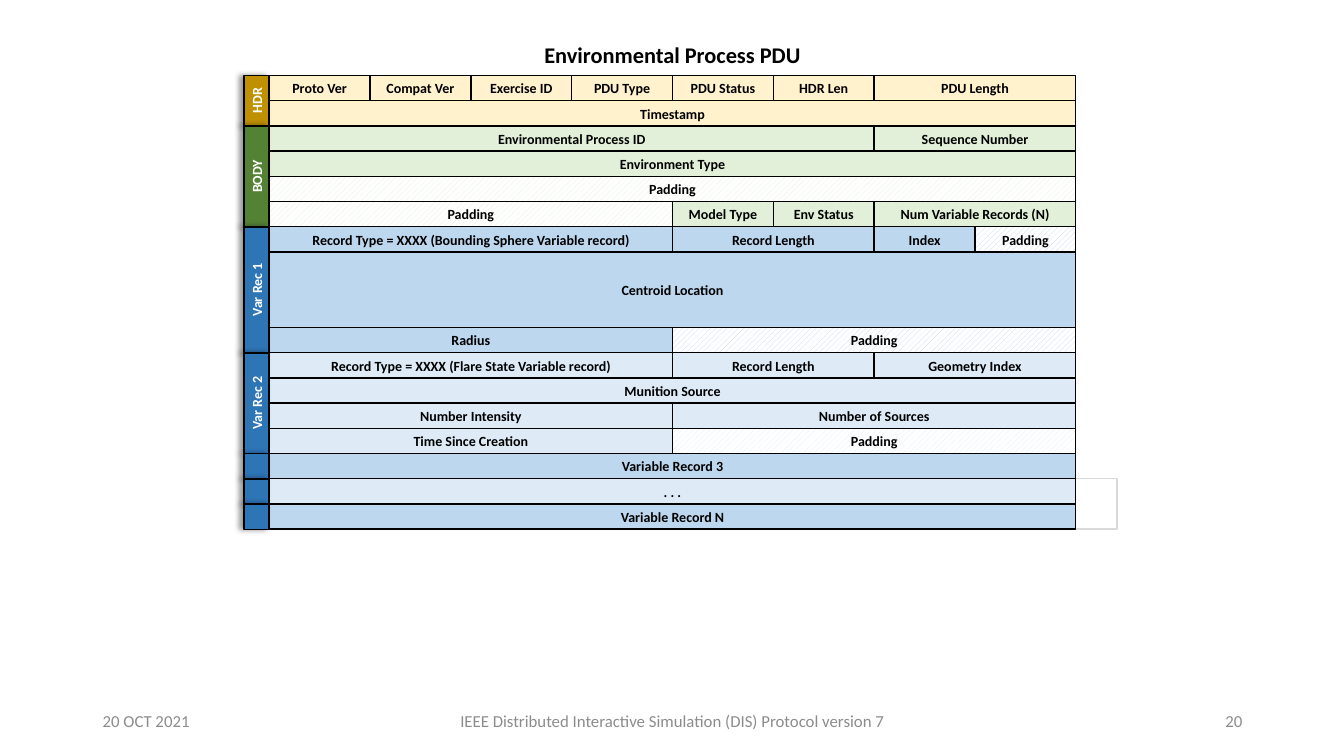
from lxml import etree
from pptx import Presentation
from pptx.dml.color import RGBColor
from pptx.enum.dml import MSO_PATTERN
from pptx.enum.shapes import MSO_SHAPE
from pptx.enum.text import MSO_ANCHOR, MSO_AUTO_SIZE, PP_ALIGN
from pptx.oxml.ns import qn
from pptx.util import Inches, Pt

RECT = MSO_SHAPE.RECTANGLE
DIAGONAL = MSO_PATTERN.WIDE_UPWARD_DIAGONAL
MIDDLE = MSO_ANCHOR.MIDDLE
NO_FIT = MSO_AUTO_SIZE.NONE
LEFT, CENTER, RIGHT = PP_ALIGN.LEFT, PP_ALIGN.CENTER, PP_ALIGN.RIGHT

COLORS = {
    "black": "000000", "white": "FFFFFF", "footer": "8C8C8C", "frame": "D9D9D9",
    "gold": "BF9000", "cream": "FFF2CC",
    "green": "548235", "mint": "E2F0D9",
    "blue": "2E75B6", "sky": "BDD7EE", "ice": "DEEBF7",
}
UNIT = 0.25
BAND_WIDTH = 0.25

SECTIONS = [
    ("HDR", "gold", "cream", [
        (1, [("Proto Ver", 1), ("Compat Ver", 1), ("Exercise ID", 1), ("PDU Type", 1),
             ("PDU Status", 1), ("HDR Len", 1), ("PDU Length", 2)]),
        (1, [("Timestamp", 8)]),
    ]),
    ("BODY", "green", "mint", [
        (1, [("Environmental Process ID", 6), ("Sequence Number", 2)]),
        (1, [("Environment Type", 8)]),
        (1, [("Padding", 8)]),
        (1, [("Padding", 4), ("Model Type", 1), ("Env Status", 1),
             ("Num Variable Records (N)", 2)]),
    ]),
    ("Var Rec 1", "blue", "sky", [
        (1, [("Record Type = XXXX (Bounding Sphere Variable record)", 4),
             ("Record Length", 2), ("Index", 1), ("Padding", 1)]),
        (3, [("Centroid Location", 8)]),
        (1, [("Radius", 4), ("Padding", 4)]),
    ]),
    ("Var Rec 2", "blue", "ice", [
        (1, [("Record Type = XXXX (Flare State Variable record)", 4),
             ("Record Length", 2), ("Geometry Index", 2)]),
        (1, [("Munition Source", 8)]),
        (1, [("Number Intensity", 4), ("Number of Sources", 4)]),
        (1, [("Time Since Creation", 4), ("Padding", 4)]),
    ]),
    ("", "blue", "sky", [(1, [("Variable Record 3", 8)])]),
    ("", "blue", "ice", [(1, [(". . .", 8)])]),
    ("", "blue", "sky", [(1, [("Variable Record N", 8)])]),
]


def rgb(name):
    return RGBColor.from_string(COLORS[name])


def write(shape, text, size, color, align=CENTER, bold=False):
    frame = shape.text_frame
    frame.auto_size = NO_FIT
    frame.word_wrap = True
    frame.vertical_anchor = MIDDLE
    frame.margin_top = frame.margin_bottom = 0
    paragraph = frame.paragraphs[0]
    paragraph.alignment = align
    run = paragraph.add_run()
    run.text = text
    run.font.name = "Calibri"
    run.font.size = Pt(size)
    run.font.bold = bold
    run.font.color.rgb = rgb(color)


def add_rect(slide, box, line="black"):
    rect = slide.shapes.add_shape(RECT, *map(Inches, box))
    rect.shadow.inherit = False
    rect.line.color.rgb = rgb(line)
    rect.line.width = Pt(1)
    return rect


def add_turned_rect(slide, box, rotation, line="black"):
    left, top, width, height = box
    shift = (width - height) / 2
    rect = add_rect(slide, (left + shift, top - shift, height, width), line)
    rect.rotation = rotation
    return rect


def add_field(slide, box, text, tint):
    field = add_rect(slide, box)
    if text == "Padding":
        field.fill.patterned()
        field.fill.pattern = DIAGONAL
        field.fill.fore_color.rgb = rgb(tint)
        field.fill.back_color.rgb = rgb("white")
    else:
        field.fill.solid()
        field.fill.fore_color.rgb = rgb(tint)
    write(field, text, 10, "black", bold=True)


def add_left_shadow(shape):
    effects = shape._element.spPr.find(qn("a:effectLst"))
    shadow = etree.SubElement(
        effects, qn("a:outerShdw"), blurRad=str(Pt(4)), dist=str(Pt(3)),
        dir="10800000", algn="r", rotWithShape="0")
    color = etree.SubElement(shadow, qn("a:srgbClr"), val=COLORS["black"])
    etree.SubElement(color, qn("a:alpha"), val="40000")


def add_band(slide, box, label, color):
    band = add_turned_rect(slide, box, 270)
    band.fill.solid()
    band.fill.fore_color.rgb = rgb(color)
    add_left_shadow(band)
    if label:
        write(band, label, 10, "white", bold=True)


def add_section(slide, left, top, width, section):
    label, band_color, tint, rows = section
    column = (width - BAND_WIDTH) / 8
    row_top = top
    for units, fields in rows:
        field_left = left + BAND_WIDTH
        for text, span in fields:
            add_field(slide, (field_left, row_top, span * column, units * UNIT), text, tint)
            field_left += span * column
        row_top += units * UNIT
    add_band(slide, (left, top, BAND_WIDTH, row_top - top), label, band_color)
    return row_top


def add_pdu_layout(slide, left, top, width):
    for section in SECTIONS:
        top = add_section(slide, left, top, width, section)
    tail = add_turned_rect(slide, (left + width - 0.01, top - 2 * UNIT, 0.42, 2 * UNIT),
                           90, "frame")
    tail.fill.background()
    slide.shapes._spTree.insert(2, tail._element)


def add_title(slide, box):
    title = slide.shapes.title
    title.left, title.top, title.width, title.height = map(Inches, box)
    write(title, "Environmental Process PDU", 16, "black", bold=True)


def add_footer(slide, top, height):
    entries = [
        (0.92, 3, "20 OCT 2021", LEFT),
        (4.42, 4.5, "IEEE Distributed Interactive Simulation (DIS) Protocol version 7", CENTER),
        (9.42, 3, "20", RIGHT),
    ]
    for left, width, text, align in entries:
        entry = slide.shapes.add_textbox(*map(Inches, (left, top, width, height)))
        write(entry, text, 12, "footer", align)


def main():
    deck = Presentation()
    deck.slide_width, deck.slide_height = Inches(13.33), Inches(7.5)
    slide = deck.slides.add_slide(deck.slide_layouts[5])
    add_title(slide, (4.67, 0.42, 4, 0.25))
    add_pdu_layout(slide, 2.42, 0.75, 8.25)
    add_footer(slide, 6.95, 0.4)
    deck.save("out.pptx")


if __name__ == "__main__":
    main()
